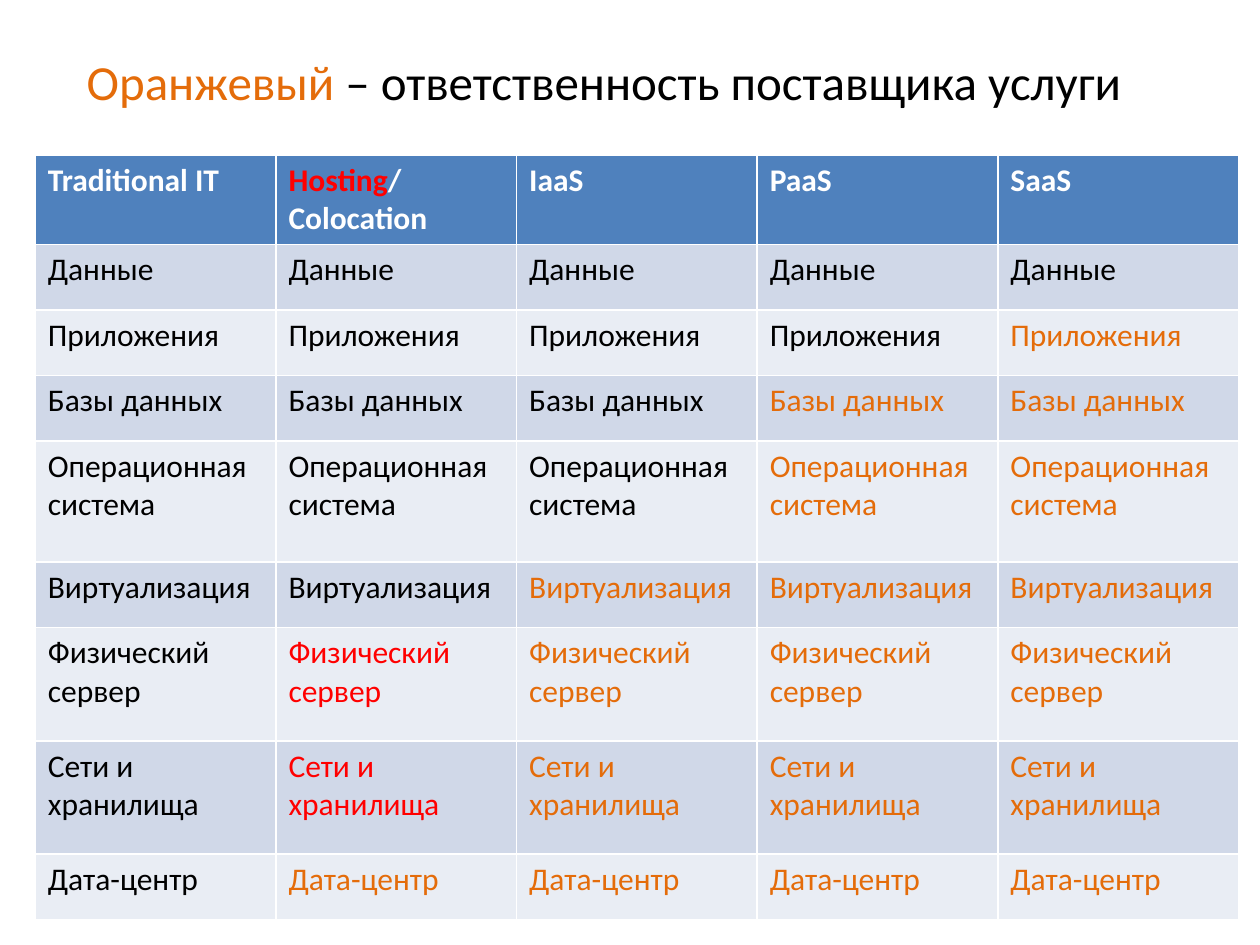
from pptx import Presentation
from pptx.dml.color import RGBColor
from pptx.enum.text import MSO_AUTO_SIZE
from pptx.util import Inches, Pt

FIT_SHAPE = MSO_AUTO_SIZE.SHAPE_TO_FIT_TEXT
COLORS = {
    "customer": "000000",
    "provider": "E46C0A",
    "hosting": "FF0000",
    "header_text": "FFFFFF",
    "header_fill": "4F81BD",
    "odd_fill": "D0D8E8",
    "even_fill": "E9EDF4",
}
TITLE = [("Оранжевый", "provider"), (" – ответственность поставщика услуги", "customer")]
HEADERS = [
    [[("Traditional IT", "header_text")]],
    [[("Hosting", "hosting"), ("/", "header_text")], [("Colocation", "header_text")]],
    [[("IaaS", "header_text")]],
    [[("PaaS", "header_text")]],
    [[("SaaS", "header_text")]],
]
HEADER_HEIGHT = 0.52
COLUMN_WIDTH = 1.91
OWNERS = {"C": "customer", "H": "hosting", "P": "provider"}
LAYERS = [
    ("Данные", "CCCCC", 0.52),
    ("Приложения", "CCCCP", 0.52),
    ("Базы данных", "CCCPP", 0.52),
    ("Операционная система", "CCCPP", 0.96),
    ("Виртуализация", "CCPPP", 0.52),
    ("Физический сервер", "CHPPP", 0.9),
    ("Сети и хранилища", "CHPPP", 0.9),
    ("Дата-центр", "CPPPP", 0.52),
]


def rgb(name):
    """Return the named colour."""
    return RGBColor.from_string(COLORS[name])


def add_span(para, text, color, size=18, bold=False):
    """Append one formatted span of text to a paragraph."""
    span = para.add_run()
    span.text = text
    span.font.name = "Calibri"
    span.font.size = Pt(size)
    span.font.bold = bold
    span.font.color.rgb = rgb(color)


def fill_cell(cell, paragraphs, fill, bold=False):
    """Give a table cell its fill and its paragraphs of coloured spans."""
    cell.fill.solid()
    cell.fill.fore_color.rgb = rgb(fill)
    frame = cell.text_frame
    for index, spans in enumerate(paragraphs):
        para = frame.add_paragraph() if index else frame.paragraphs[0]
        for text, color in spans:
            add_span(para, text, color, bold=bold)


def add_title(page, left, top, width, height):
    """Place the title that explains the orange colour."""
    box = page.shapes.add_textbox(Inches(left), Inches(top), Inches(width), Inches(height))
    frame = box.text_frame
    frame.word_wrap = False
    frame.auto_size = FIT_SHAPE
    for text, color in TITLE:
        add_span(frame.paragraphs[0], text, color, size=28)


def add_responsibility_table(page, left, top):
    """Place the table of layers by service model, coloured by owner."""
    heights = [HEADER_HEIGHT] + [height for _, _, height in LAYERS]
    table = page.shapes.add_table(
        len(heights), len(HEADERS), Inches(left), Inches(top),
        Inches(COLUMN_WIDTH * len(HEADERS)), Inches(sum(heights)),
    ).table
    for column in table.columns:
        column.width = Inches(COLUMN_WIDTH)
    for row, height in zip(table.rows, heights):
        row.height = Inches(height)
    for column, paragraphs in enumerate(HEADERS):
        fill_cell(table.cell(0, column), paragraphs, "header_fill", bold=True)
    for row, (label, owners, _) in enumerate(LAYERS, start=1):
        fill = "odd_fill" if row % 2 else "even_fill"
        for column, owner in enumerate(owners):
            fill_cell(table.cell(row, column), [[(label, OWNERS[owner])]], fill)


def main():
    """Build and save the deck."""
    deck = Presentation()
    deck.slide_width, deck.slide_height = Inches(10), Inches(7.5)
    page = deck.slides.add_slide(deck.slide_layouts[6])
    add_responsibility_table(page, 0.28, 1.23)
    add_title(page, 0.59, 0.36, 8.5, 0.57)
    deck.save("out.pptx")


if __name__ == "__main__":
    main()
